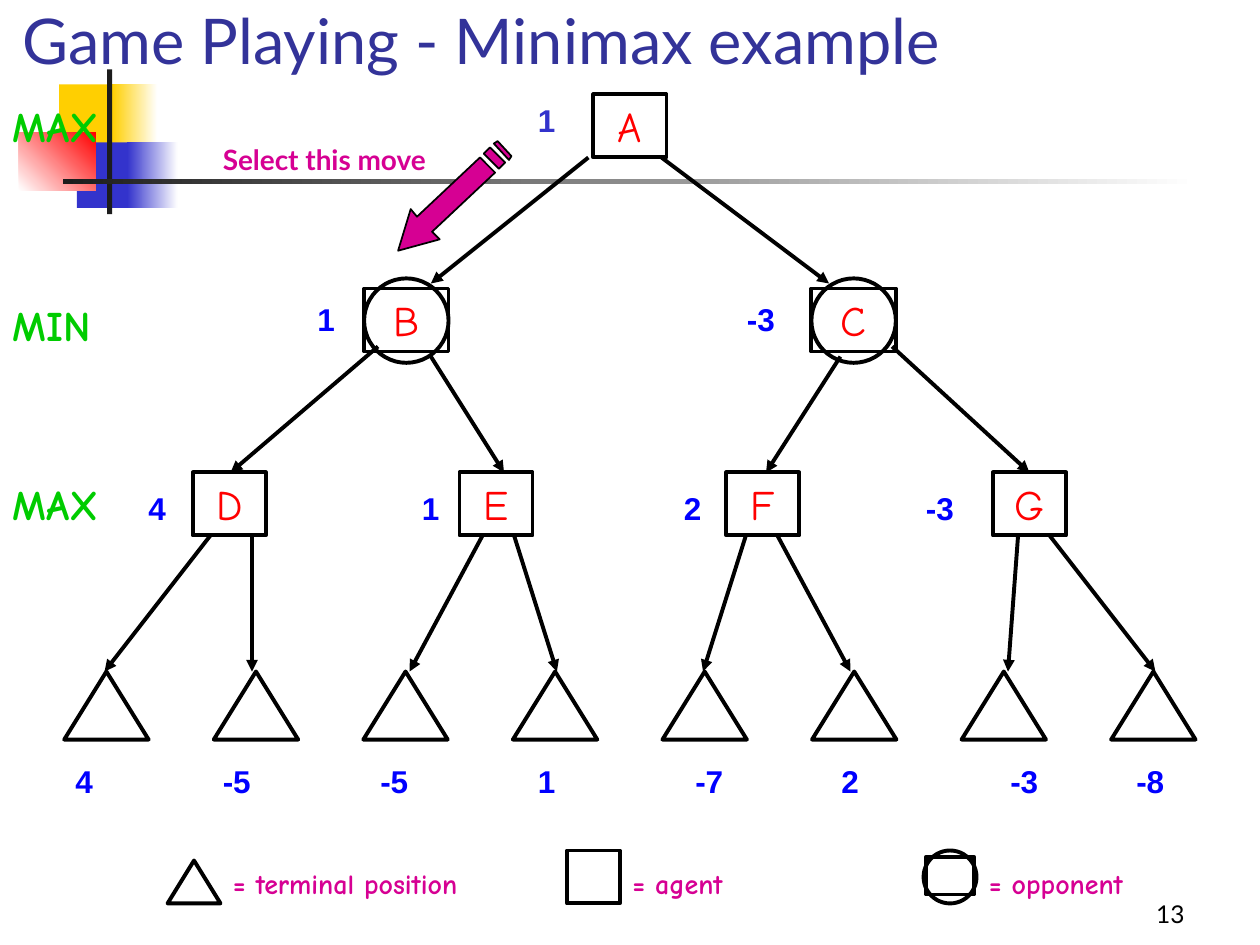
from dataclasses import dataclass
from typing import NamedTuple, Optional

from lxml import etree
from pptx import Presentation
from pptx.dml.color import RGBColor
from pptx.enum.shapes import MSO_CONNECTOR, MSO_SHAPE
from pptx.enum.text import MSO_ANCHOR, PP_ALIGN
from pptx.oxml.ns import qn
from pptx.util import Inches, Pt

RECT, OVAL = MSO_SHAPE.RECTANGLE, MSO_SHAPE.OVAL
TRIANGLE = MSO_SHAPE.ISOSCELES_TRIANGLE
STRAIGHT = MSO_CONNECTOR.STRAIGHT
TOP, BOTTOM = MSO_ANCHOR.TOP, MSO_ANCHOR.BOTTOM
LEFT, CENTER, RIGHT = PP_ALIGN.LEFT, PP_ALIGN.CENTER, PP_ALIGN.RIGHT


class Style(NamedTuple):
    font: str
    size: int
    color: str
    bold: bool = False


@dataclass(frozen=True)
class Theme:
    black: str = "000000"
    white: str = "FFFFFF"
    yellow: str = "FFCF01"
    blue: str = "3333CC"
    red: str = "FF0000"
    dark: str = "1C1C1C"
    magenta: str = "D60093"
    outline: float = 2.25
    title: Style = Style("Lato", 36, "333399")
    number: Style = Style("Lato", 14, "000000")
    node: Style = Style("Comic Neue", 24, "FF0000")
    level: Style = Style("Comic Neue", 24, "00CC00", True)
    legend: Style = Style("Comic Neue", 16, "D60093", True)
    move: Style = Style("Lato", 16, "D60093", True)
    value: Style = Style("Arial", 18, "0000FF", True)
    root_value: Style = Style("Arial", 18, "3333CC", True)


class Box(NamedTuple):
    left: float
    top: float
    width: float
    height: float


class Block(NamedTuple):
    box: Box
    start: str
    end: Optional[str] = None
    angle: int = 0


class Node(NamedTuple):
    name: str
    left: float
    top: float
    opponent: bool = False


class Label(NamedTuple):
    text: str
    box: Box


class Edge(NamedTuple):
    x1: float
    y1: float
    x2: float
    y2: float


THEME = Theme()

BLOCKS = [
    Block(Box(0.47, 0.67, 0.48, 0.52), THEME.yellow),
    Block(Box(0.89, 0.67, 0.36, 0.52), THEME.yellow, THEME.white),
    Block(Box(0.61, 1.13, 0.46, 0.52), THEME.blue),
    Block(Box(1.01, 1.13, 0.4, 0.52), THEME.blue, THEME.white),
    Block(Box(0.15, 1.05, 0.61, 0.46), THEME.white, THEME.red, 45),
    Block(Box(0.85, 0.55, 0.04, 1.15), THEME.dark),
    Block(Box(0.5, 1.42, 9, 0.04), THEME.dark, THEME.white),
]
NODES = [
    Node("A", 4.71, 0.75), Node("B", 2.89, 2.29, True), Node("C", 6.44, 2.29, True),
    *(Node(name, 1.53 + 2.117 * i, 3.75) for i, name in enumerate("DEFG")),
]
EDGES = [
    Edge(4.67, 1.25, 3.42, 2.25), Edge(5.25, 1.25, 6.58, 2.25),
    Edge(3, 2.75, 1.83, 3.75), Edge(3.42, 2.83, 4, 3.75),
    Edge(6.67, 2.83, 6.08, 3.75), Edge(7.08, 2.75, 8.17, 3.75),
    *(Edge(x1, 4.25, x2, 5.33) for x1, x2 in [
        (1.67, 0.83), (2, 2), (3.83, 3.25), (4.08, 4.42),
        (5.92, 5.58), (6.17, 6.75), (8.08, 8), (8.33, 9.17)]),
]
VALUES = [
    Label("1", Box(2.42, 2.33, 0.42, 0.4)), Label("-3", Box(5.83, 2.33, 0.58, 0.4)),
    Label("4", Box(1.08, 3.83, 0.42, 0.4)), Label("1", Box(3.25, 3.83, 0.33, 0.4)),
    Label("2", Box(5.33, 3.83, 0.33, 0.4)), Label("-3", Box(7.25, 3.83, 0.5, 0.4)),
    *(Label(text, Box(left, 6, 0.83, 0.4)) for text, left in [
        ("4", 0.5), ("-5", 1.67), ("-5", 2.92), ("1", 4.17),
        ("-7", 5.42), ("2", 6.58), ("-3", 7.92), ("-8", 8.92)]),
]
LEVELS = [("MAX", 0.75), ("MIN", 2.33), ("MAX", 3.75)]
LEGEND = [("= terminal position", 1.75, 2.25), ("= agent", 4.92, 1.83),
          ("= opponent", 7.75, 1.83)]
# Outlines of the striped arrow, in hundredths of an inch
ARROW = [
    [(349, 190), (343, 184), (393, 137), (381, 125), (331, 172), (326, 166), (316, 199)],
    [(401, 129), (389, 117), (384, 122), (396, 134)],
    [(406, 124), (395, 112), (392, 114), (404, 127)],
]


def inches(box: Box) -> list:
    return [Inches(length) for length in box]


def write(shape, text: str, style: Style, align=LEFT, anchor=TOP) -> None:
    frame = shape.text_frame
    frame.word_wrap = True
    frame.vertical_anchor = anchor
    paragraph = frame.paragraphs[0]
    paragraph.alignment = align
    run = paragraph.add_run()
    run.text = text
    run.font.name, run.font.size, run.font.bold = style.font, Pt(style.size), style.bold
    run.font.color.rgb = RGBColor.from_string(style.color)


def add_text(slide, text: str, box: Box, style: Style, align=LEFT, anchor=TOP) -> None:
    write(slide.shapes.add_textbox(*inches(box)), text, style, align, anchor)


def add_outline(slide, kind, box: Box, color: str = THEME.black, fill: Optional[str] = None):
    shape = slide.shapes.add_shape(kind, *inches(box))
    shape.shadow.inherit = False
    if fill:
        shape.fill.solid()
        shape.fill.fore_color.rgb = RGBColor.from_string(fill)
    else:
        shape.fill.background()
    shape.line.color.rgb = RGBColor.from_string(color)
    shape.line.width = Pt(THEME.outline)
    return shape


def add_block(slide, block: Block) -> None:
    shape = add_outline(slide, RECT, block.box, fill=block.start)
    shape.line.fill.background()
    if block.end:
        shape.fill.gradient()
        shape.fill.gradient_angle = block.angle
        for stop, color in zip(shape.fill.gradient_stops, (block.start, block.end)):
            stop.color.rgb = RGBColor.from_string(color)


def add_node(slide, node: Node) -> None:
    width = 0.67 if node.opponent else 0.58
    square = add_outline(slide, RECT, Box(node.left, node.top, width, 0.5))
    write(square, node.name, THEME.node, CENTER)
    if node.opponent:
        add_outline(slide, OVAL, Box(node.left, node.top - 0.08, width, width))


def add_edge(slide, edge: Edge) -> None:
    line = slide.shapes.add_connector(STRAIGHT, *[Inches(value) for value in edge])
    line.line.color.rgb = RGBColor.from_string(THEME.black)
    line.line.width = Pt(THEME.outline)
    etree.SubElement(line.line._get_or_add_ln(), qn("a:tailEnd"), type="triangle")
    etree.SubElement(line._element.spPr, qn("a:effectLst"))


def add_move_arrow(slide) -> None:
    builder = slide.shapes.build_freeform(*ARROW[0][0], scale=Inches(0.01))
    for index, outline in enumerate(ARROW):
        if index:
            builder.move_to(*outline[0])
        builder.add_line_segments(outline[1:], close=True)
    arrow = builder.convert_to_shape()
    arrow.shadow.inherit = False
    arrow.fill.solid()
    arrow.fill.fore_color.rgb = RGBColor.from_string(THEME.magenta)
    arrow.line.color.rgb = RGBColor.from_string(THEME.black)
    arrow.line.width = Pt(1)


def main() -> None:
    deck = Presentation()
    deck.slide_width, deck.slide_height = Inches(10), Inches(7.5)
    slide = deck.slides.add_slide(deck.slide_layouts[6])

    # Background decoration and page number
    for block in BLOCKS:
        add_block(slide, block)
    add_text(slide, "13", Box(7.42, 6.92, 2.08, 0.5), THEME.number, RIGHT, BOTTOM)

    # Legend
    add_outline(slide, TRIANGLE, Box(1.33, 6.83, 0.42, 0.34))
    add_outline(slide, RECT, Box(4.5, 6.75, 0.42, 0.42))
    add_outline(slide, RECT, Box(7.35, 6.8, 0.38, 0.3), fill=THEME.white)
    add_outline(slide, OVAL, Box(7.33, 6.75, 0.42, 0.42))
    for text, left, width in LEGEND:
        add_text(slide, text, Box(left, 6.83, width, 0.37), THEME.legend)

    # Game tree
    for value in VALUES:
        write(add_outline(slide, RECT, value.box, THEME.white), value.text, THEME.value)
    add_text(slide, "1", Box(4.17, 0.75, 0.42, 0.4), THEME.root_value)
    for text, top in LEVELS:
        add_text(slide, text, Box(0, top, 1.08, 0.5), THEME.level)
    for edge in EDGES:
        add_edge(slide, edge)
    for node in NODES:
        add_node(slide, node)
    for index in range(8):
        add_outline(slide, TRIANGLE, Box(0.51 + 1.187 * index, 5.33, 0.67, 0.54))

    # Title and chosen move
    add_text(slide, "Game Playing - Minimax example", Box(0.08, 0.15, 9.58, 0.51),
             THEME.title, anchor=BOTTOM)
    add_move_arrow(slide)
    add_text(slide, "Select this move", Box(1.67, 1.08, 2.17, 0.37), THEME.move)

    deck.save("out.pptx")


if __name__ == "__main__":
    main()
